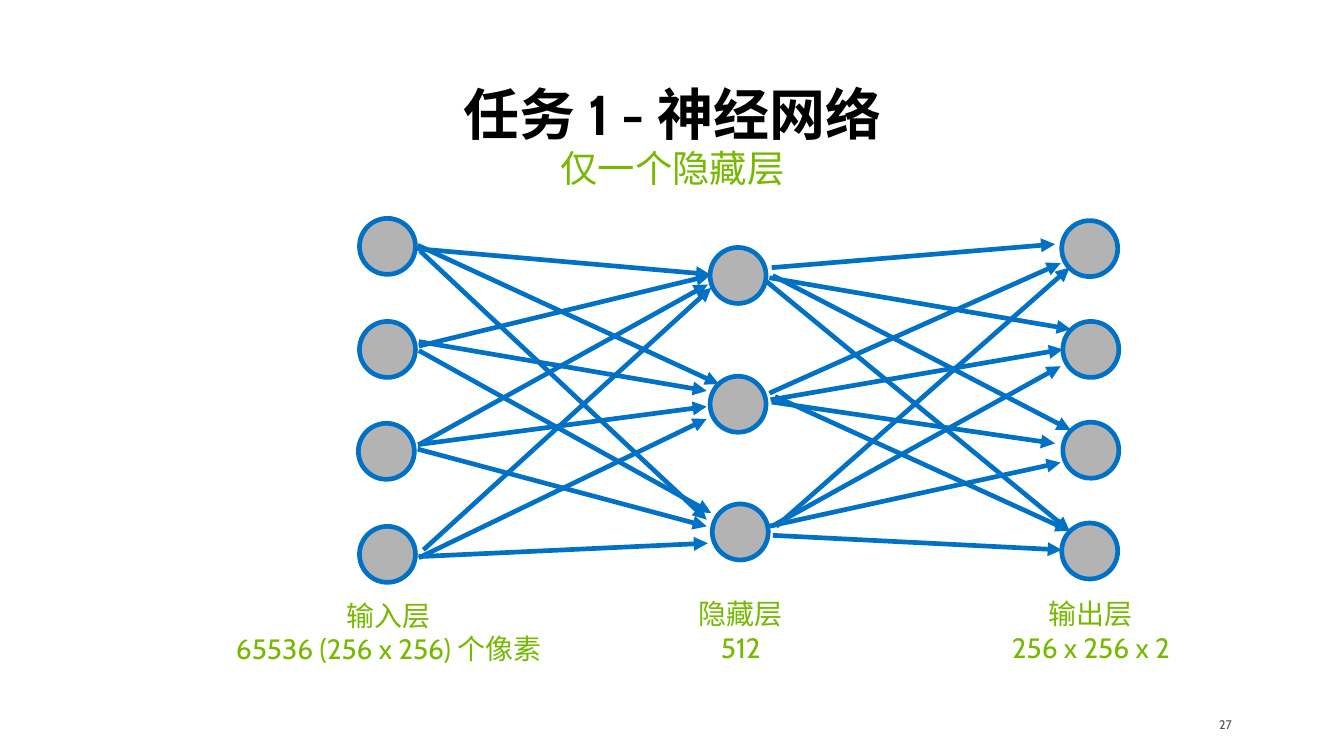
from lxml import etree
from pptx import Presentation
from pptx import util as u
from pptx.dml.color import RGBColor
from pptx.enum import shapes, text
from pptx.oxml.ns import qn

HUE = {"ink": "000000", "green": "76B900", "blue": "0071C5",
       "gray": "B3B3B3", "page": "505050"}
CJK = "Noto Sans CJK SC"
SIZE = 0.5

TITLE = "任务 1 - 神经网络"
SUB = "仅一个隐藏层"
PAGE = "27"

# Left and top of each neuron, by layer
LAYERS = {
    "input": [(3.21, 1.95), (3.21, 2.87), (3.2, 3.78), (3.21, 4.7)],
    "hidden": [(6.34, 2.21), (6.34, 3.36), (6.36, 4.5)],
    "output": [(9.48, 1.97), (9.49, 2.87), (9.49, 3.77), (9.48, 4.67)],
}

# One row per sending neuron, one arrow per receiving neuron: x1, y1, x2, y2
EDGES = [
    # input to hidden
    [(3.71, 2.22, 6.34, 2.45), (3.73, 2.19, 6.42, 3.43), (3.75, 2.24, 6.31, 4.64)],
    [(3.74, 3.09, 6.34, 2.46), (3.74, 3.05, 6.31, 3.49), (3.74, 3.13, 6.35, 4.58)],
    [(3.74, 3.97, 6.32, 2.54), (3.73, 3.97, 6.31, 3.63), (3.73, 4.01, 6.31, 4.7)],
    [(3.78, 4.91, 6.35, 2.57), (3.74, 4.98, 6.31, 3.74), (3.74, 4.97, 6.32, 4.85)],
    # hidden to output
    [(6.89, 2.39, 9.42, 2.18), (6.87, 2.48, 9.56, 2.94),
     (6.9, 2.46, 9.56, 3.84), (6.84, 2.51, 9.55, 4.74)],
    [(6.87, 3.51, 9.47, 2.35), (6.88, 3.57, 9.49, 3.12),
     (6.89, 3.59, 9.42, 3.96), (6.92, 3.54, 9.55, 4.74)],
    [(6.93, 4.7, 9.55, 2.39), (6.89, 4.7, 9.47, 3.27),
     (6.86, 4.7, 9.47, 4.13), (6.9, 4.78, 9.48, 4.91)],
]

LABELS = [
    ((1.96, 5.29, 3.02, 0.71), ["输入层", "65536 (256 x 256) 个像素"]),
    ((5.78, 5.28, 1.67, 0.71), ["隐藏层", "512"]),
    ((8.85, 5.28, 1.78, 1.01), ["输出层", "256 x 256 x 2"]),
]


def color(name):
    return RGBColor.from_string(HUE[name])


def inches(*vals):
    return [u.Inches(v) for v in vals]


def write(box, lines, size=18, hue="green", font="Cabin", bold=False,
          align=text.PP_ALIGN.CENTER, anchor=text.MSO_ANCHOR.TOP,
          space=1.0, pad=(0.1, 0.05)):
    frame = box.text_frame
    frame.word_wrap = True
    frame.auto_size = text.MSO_AUTO_SIZE.NONE
    frame.vertical_anchor = anchor
    frame.margin_left = frame.margin_right = u.Inches(pad[0])
    frame.margin_top = frame.margin_bottom = u.Inches(pad[1])
    frame.text = "\n".join(lines)
    for para in frame.paragraphs:
        para.alignment = align
        para.line_spacing = space
        para.space_before = u.Pt(0)
        for run in para.runs:
            run.font.size = u.Pt(size)
            run.font.name = font
            run.font.bold = bold
            run.font.color.rgb = color(hue)
            latin = run.font._element.find(qn("a:latin"))
            east = etree.Element(qn("a:ea"), typeface=CJK)
            latin.addnext(east)


def outline(item):
    item.line.color.rgb = color("blue")
    item.line.width = u.Pt(3)


def neuron(slide, left, top):
    dot = slide.shapes.add_shape(
        shapes.MSO_SHAPE.FLOWCHART_CONNECTOR, *inches(left, top, SIZE, SIZE))
    dot.shadow.inherit = False
    dot.fill.solid()
    dot.fill.fore_color.rgb = color("gray")
    outline(dot)


def arrow(slide, ends):
    link = slide.shapes.add_connector(
        shapes.MSO_CONNECTOR.STRAIGHT, *inches(*ends))
    outline(link)
    etree.SubElement(link.line._get_or_add_ln(), qn("a:tailEnd"), type="triangle")
    etree.SubElement(link._element.spPr, qn("a:effectLst"))


def main():
    deck = Presentation()
    deck.slide_width, deck.slide_height = inches(12, 6.75)
    slide = deck.slides.add_slide(deck.slide_layouts[5])

    title = slide.shapes.title
    title.left, title.top, title.width, title.height = inches(0.55, 0.72, 10.91, 0.65)
    write(title, [TITLE], size=36, hue="ink", bold=True, space=0.9,
          anchor=text.MSO_ANCHOR.BOTTOM)

    def label(at, lines, **form):
        write(slide.shapes.add_textbox(*inches(*at)), lines, **form)

    label((0.55, 1.29, 10.91, 0.57), [SUB], size=24, font=CJK, space=0.9)

    for layer in LAYERS.values():
        for spot in layer:
            neuron(slide, *spot)
    for fan in EDGES:
        for ends in fan:
            arrow(slide, ends)
    for at, lines in LABELS:
        label(at, lines)

    label((10.68, 6.38, 0.32, 0.18), [PAGE], size=8, hue="page", pad=(0, 0),
          align=text.PP_ALIGN.RIGHT, anchor=text.MSO_ANCHOR.MIDDLE)
    deck.save("out.pptx")


if __name__ == "__main__":
    main()
